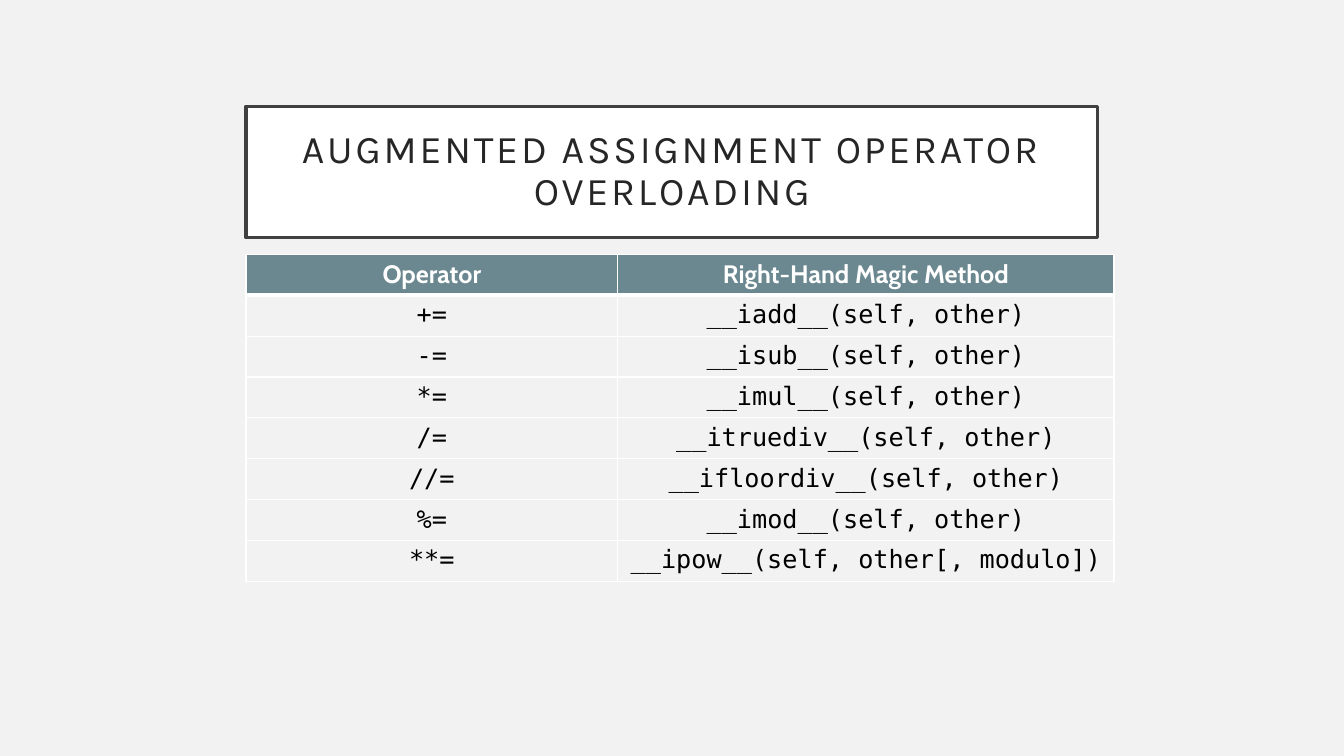
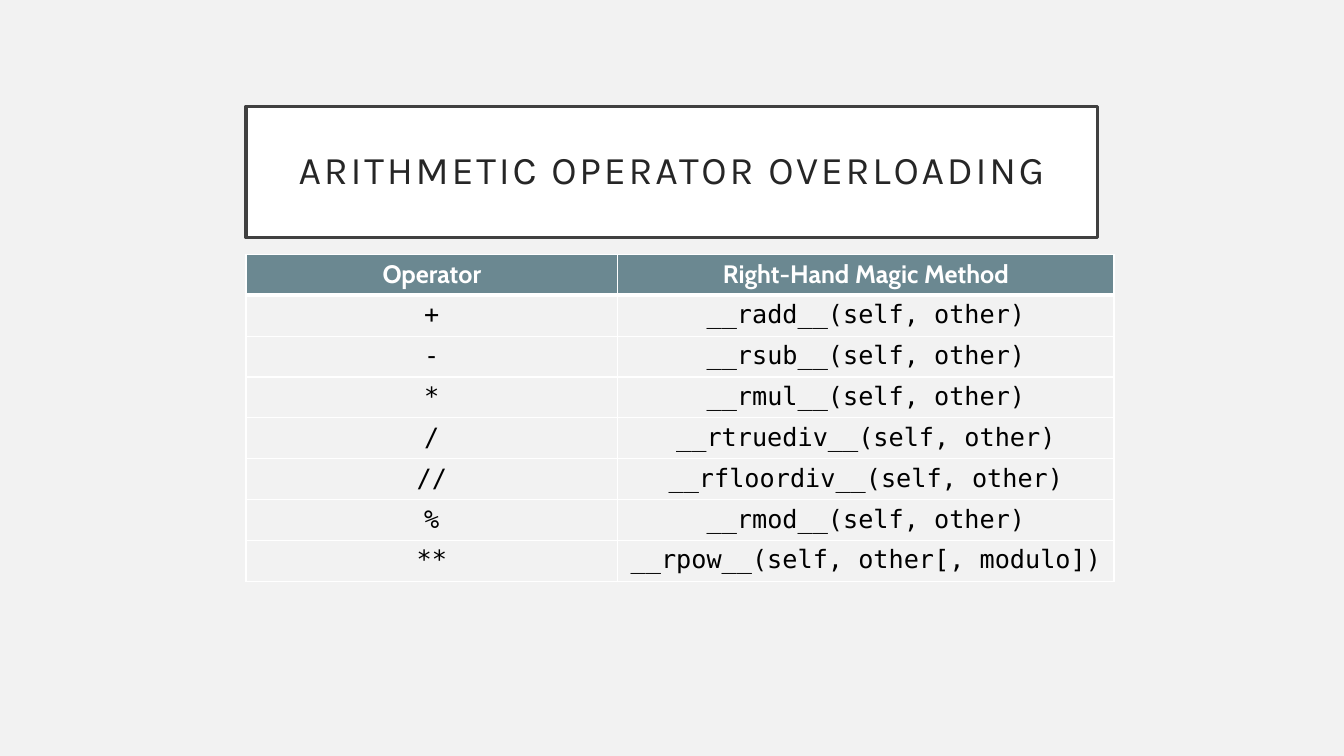
from lxml import etree
from pptx import Presentation
from pptx.dml.color import RGBColor
from pptx.enum import shapes, text
from pptx.oxml.ns import qn
from pptx.util import Pt

BACKGROUND = RGBColor(0xF2, 0xF2, 0xF2)
WHITE = RGBColor(0xFF, 0xFF, 0xFF)
BLACK = RGBColor(0x00, 0x00, 0x00)
FRAME = RGBColor(0x40, 0x40, 0x40)
TITLE_INK = RGBColor(0x26, 0x26, 0x26)
TEAL = RGBColor(0x6B, 0x88, 0x91)

LEFT = Pt(175.7)
COLUMN_WIDTHS = [Pt(265.5), Pt(354.6)]
ROW_HEIGHT = Pt(29.2)

HEADINGS = ["Operator", "Right-Hand Magic Method"]
OPERATIONS = [
    ("+", "add"),
    ("-", "sub"),
    ("*", "mul"),
    ("/", "truediv"),
    ("//", "floordiv"),
    ("%", "mod"),
    ("**", "pow"),
]
# Title, suffix of each operator, prefix of each method
TOPICS = [
    ("AUGMENTED ASSIGNMENT OPERATOR OVERLOADING", "=", "i"),
    ("ARITHMETIC OPERATOR OVERLOADING", "", "r"),
]


def add_centred_run(frame, words, font_name, size, color, bold=False):
    paragraph = frame.paragraphs[0]
    paragraph.alignment = text.PP_ALIGN.CENTER
    run = paragraph.add_run()
    run.text = words
    run.font.name = font_name
    run.font.size = Pt(size)
    run.font.bold = bold
    run.font.color.rgb = color
    return run


def set_borders(cell, top, bottom):
    """Draw white borders, 1 pt at the sides and as given above and below."""
    properties = cell._tc.get_or_add_tcPr()
    for side, width in (("L", 1), ("R", 1), ("T", top), ("B", bottom)):
        border = etree.SubElement(properties, qn(f"a:ln{side}"), w=str(Pt(width)))
        fill = etree.SubElement(border, qn("a:solidFill"))
        etree.SubElement(fill, qn("a:srgbClr"), val=str(WHITE))


deck = Presentation()
deck.slide_width = Pt(960)
deck.slide_height = Pt(540)

for title, suffix, prefix in TOPICS:
    slide = deck.slides.add_slide(deck.slide_layouts[6])
    slide.background.fill.solid()
    slide.background.fill.fore_color.rgb = BACKGROUND

    title_box = slide.shapes.add_shape(
        shapes.MSO_SHAPE.RECTANGLE, LEFT, Pt(76), Pt(608.4), Pt(93.6))
    title_box.shadow.inherit = False
    title_box.fill.solid()
    title_box.fill.fore_color.rgb = WHITE
    title_box.line.color.rgb = FRAME
    title_box.line.width = Pt(2.5)
    frame = title_box.text_frame
    frame.word_wrap = True
    frame.vertical_anchor = text.MSO_ANCHOR.MIDDLE
    frame.margin_left = frame.margin_right = Pt(14.4)
    frame.margin_top = frame.margin_bottom = Pt(14.4)
    title_run = add_centred_run(frame, title, "Karla", 28, TITLE_INK)
    title_run.font._element.set("spc", "200")
    frame.paragraphs[0].line_spacing = 0.9

    rows = [HEADINGS]
    for operator, name in OPERATIONS:
        arguments = "self, other[, modulo]" if name == "pow" else "self, other"
        rows.append([operator + suffix, f"__{prefix}{name}__({arguments})"])

    methods = slide.shapes.add_table(
        len(rows), len(HEADINGS), LEFT, Pt(181.7),
        sum(COLUMN_WIDTHS), ROW_HEIGHT * len(rows)).table
    methods.horz_banding = False
    for column, width in zip(methods.columns, COLUMN_WIDTHS):
        column.width = width
    for r, row in enumerate(rows):
        methods.rows[r].height = ROW_HEIGHT
        for c, words in enumerate(row):
            cell = methods.cell(r, c)
            set_borders(cell, top=3 if r == 1 else 1, bottom=3 if r == 0 else 1)
            if r == 0:
                cell.fill.solid()
                cell.fill.fore_color.rgb = TEAL
                add_centred_run(cell.text_frame, words, "Cabin", 18, WHITE, bold=True)
            else:
                cell.fill.background()
                add_centred_run(cell.text_frame, words, "DejaVu Sans Mono", 18, BLACK)

deck.save("out.pptx")
